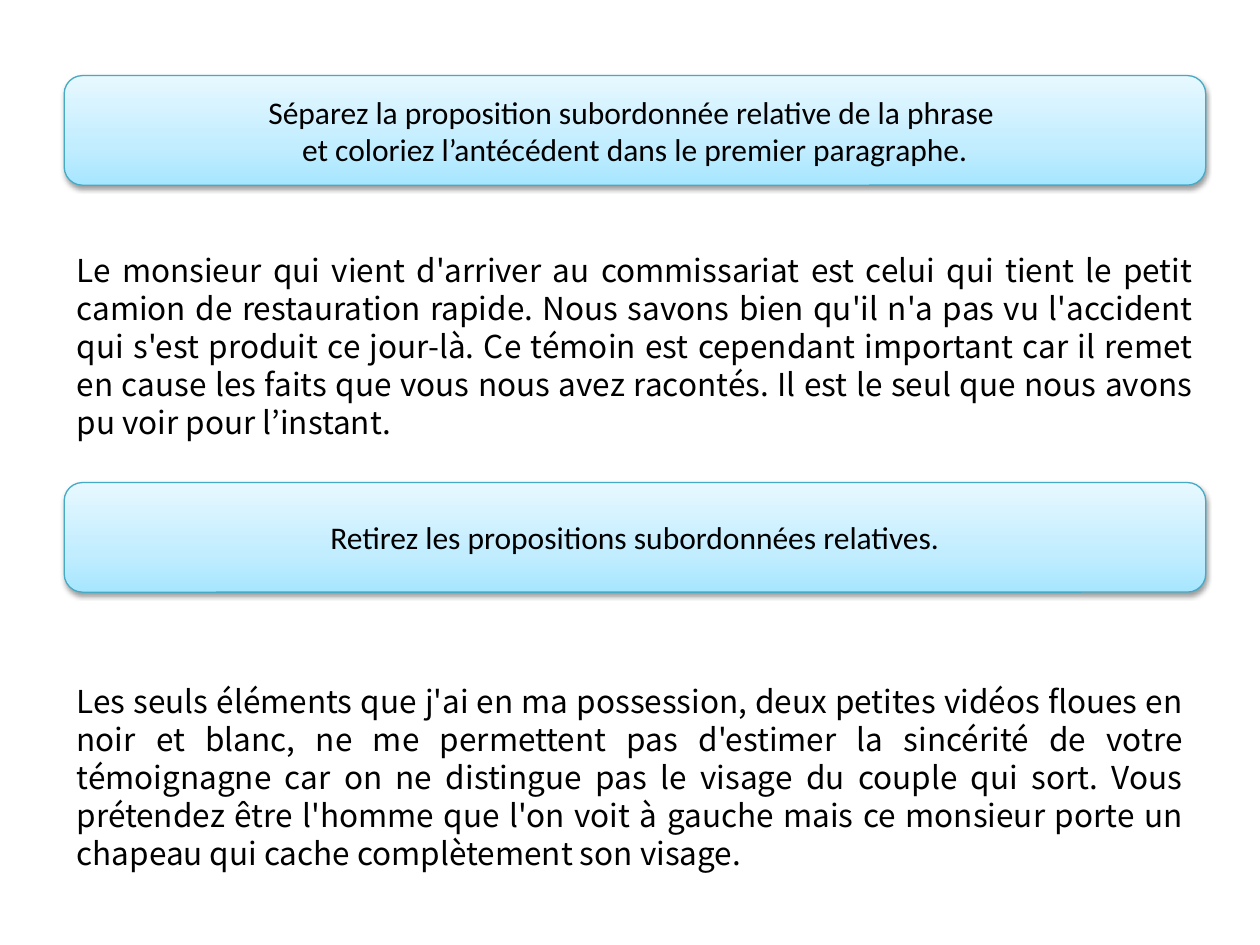
from copy import deepcopy
from lxml import etree
from pptx import Presentation
from pptx import util as u
from pptx.dml.color import RGBColor
from pptx.enum import shapes, text
from pptx.oxml import parse_xml

LEFT, WIDTH = 0.51, 9.06
BOX_H, TEXT_H = 0.87, 1.62
STOPS = [(0, "A7E6FF"), (0.35, "C1EDFF"), (1, "E7F8FF")]
INSTRUCTIONS = [
    (0.6, ["Séparez la proposition subordonnée relative de la phrase ",
           "et coloriez l’antécédent dans le premier paragraphe."]),
    (3.83, ["Retirez les propositions subordonnées relatives."]),
]
PASSAGES = [
    (1.94, WIDTH,
     "Le monsieur qui vient d'arriver au commissariat est celui qui tient le petit "
     "camion de restauration rapide. Nous savons bien qu'il n'a pas vu l'accident "
     "qui s'est produit ce jour-là. Ce témoin est cependant important car il remet "
     "en cause les faits que vous nous avez racontés. Il est le seul que nous avons "
     "pu voir pour l’instant. "),
    (5.36, 8.98,
     "Les seuls éléments que j'ai en ma possession, deux petites vidéos floues en "
     "noir et blanc, ne me permettent pas d'estimer la sincérité de votre "
     "témoignagne car on ne distingue pas le visage du couple qui sort. Vous "
     "prétendez être l'homme que l'on voit à gauche mais ce monsieur porte un "
     "chapeau qui cache complètement son visage. "),
]
SHADOW = (
    '<a:outerShdw xmlns:a="http://schemas.openxmlformats.org/drawingml/2006/main" '
    'blurRad="39370" dist="20320" dir="5400000" rotWithShape="0">'
    '<a:srgbClr val="000000"><a:alpha val="38000"/></a:srgbClr></a:outerShdw>'
)


def color(value):
    return RGBColor.from_string(value)


def write(tf, lines, font, align, spacing=None):
    tf.word_wrap = True
    for i, line in enumerate(lines):
        p = tf.add_paragraph() if i else tf.paragraphs[0]
        p.alignment = align
        if spacing:
            p.line_spacing = u.Pt(spacing)
        r = p.add_run()
        r.text = line
        r.font.name = font
        r.font.size = u.Pt(18)
        r.font.color.rgb = color("000000")
        if font != "Calibri":
            ea = etree.SubElement(r.font._element, r.font._element[-1].tag.replace("latin", "ea"))
            ea.set("typeface", font)


def shade(sp):
    sp.fill.gradient()
    sp.fill.gradient_angle = 90
    first = sp.fill.gradient_stops[0]._gs
    first.addnext(deepcopy(first))
    for stop, (position, value) in zip(sp.fill.gradient_stops, STOPS):
        stop.position = position
        stop.color.rgb = color(value)
    sp.line.color.rgb = color("46AAC5")
    sp.line.width = u.Pt(0.75)
    sp.shadow.inherit = False
    sp._element.spPr[-1].append(parse_xml(SHADOW))


prs = Presentation()
prs.slide_width, prs.slide_height = u.Inches(10), u.Inches(7.5)
s = prs.slides.add_slide(prs.slide_layouts[6])

for top, width, passage in PASSAGES:
    sp = s.shapes.add_textbox(u.Inches(LEFT), u.Inches(top), u.Inches(width), u.Inches(TEXT_H))
    write(sp.text_frame, [passage], "Noto Sans CJK KR", text.PP_ALIGN.JUSTIFY, 21.7)

for top, lines in INSTRUCTIONS:
    sp = s.shapes.add_shape(shapes.MSO_SHAPE.ROUNDED_RECTANGLE, u.Inches(LEFT),
                            u.Inches(top), u.Inches(WIDTH), u.Inches(BOX_H))
    shade(sp)
    sp.text_frame.vertical_anchor = text.MSO_ANCHOR.MIDDLE
    write(sp.text_frame, lines, "Calibri", text.PP_ALIGN.CENTER)

prs.save("out.pptx")
